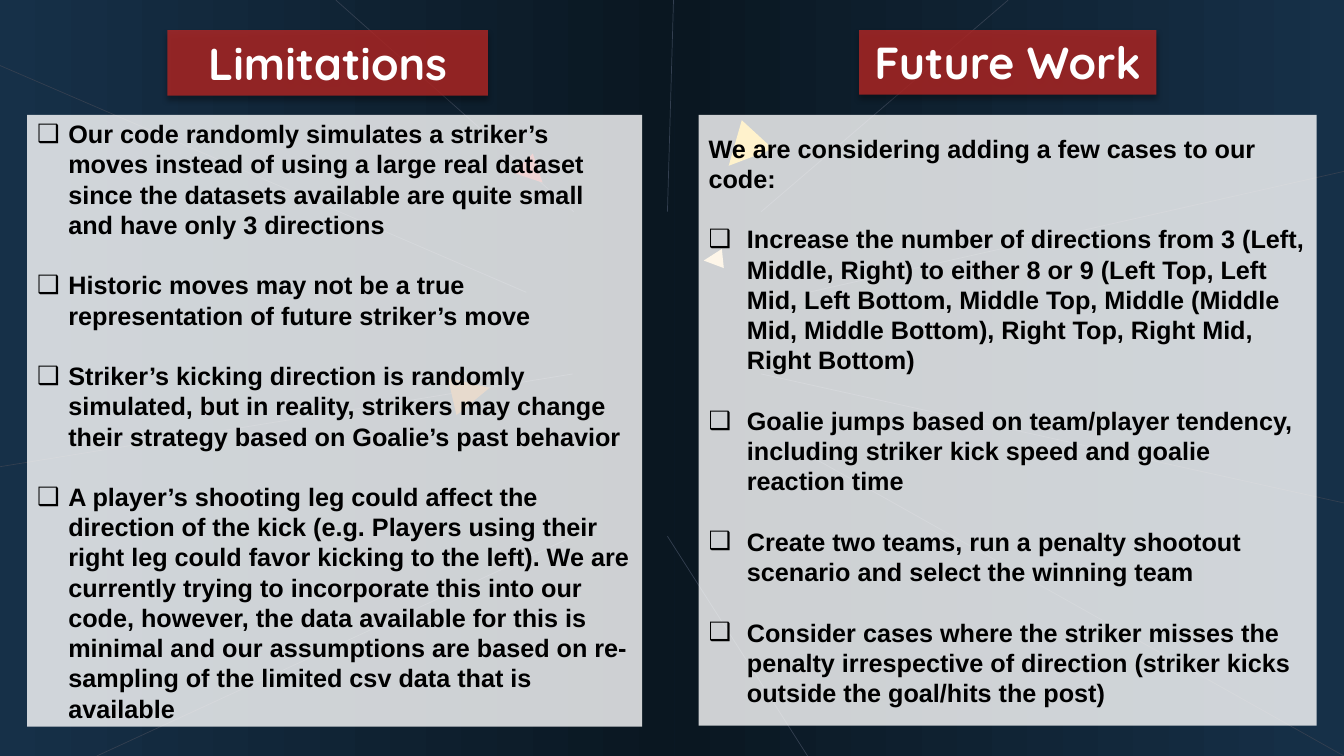
"""Build the Limitations and Future Work slide."""
from lxml import etree
from pptx import Presentation
from pptx import util as u
from pptx.dml.color import RGBColor
from pptx.enum import shapes, text
from pptx.oxml.ns import qn

RECT = shapes.MSO_SHAPE.RECTANGLE
TRIANGLE = shapes.MSO_SHAPE.ISOSCELES_TRIANGLE
TITLE_FONT = {"name": "Quicksand", "size": u.Pt(32), "bold": True}
BODY_FONT = {"name": "Arial", "size": u.Pt(18), "bold": True}
LINE_PITCH = u.Pt(21.6)

RAYS = [
    (6.68, 0, 6.62, 2.1), (0, 0.65, 5.22, 2.9), (0.96, 7.5, 5.69, 5.32),
    (7.55, 3.71, 13.33, 4.99), (8.01, 4.51, 13.33, 7.5),
    (8.02, 2.9, 13.33, 1.7), (3.33, 0, 5.69, 2.1), (7.55, 2.1, 10, 0),
    (0, 4.63, 5.68, 3.71), (6.62, 5.32, 8.01, 7.5),
]
TRIANGLES = [
    (4.48, 3.7, 0.38, 77, "8B4607"), (6.98, 2.48, 0.19, 264.1, "FED593"),
    (7.16, 1.28, 0.42, 222.6, "FFC000"), (5.15, 1.58, 0.27, 135, "B12725"),
]
LIMITATIONS = [
    "Our code randomly simulates a striker’s moves instead of using a large "
    "real dataset since the datasets available are quite small and have only "
    "3 directions",
    "Historic moves may not be a true representation of future striker’s move",
    "Striker’s kicking direction is randomly simulated, but in reality, "
    "strikers may change their strategy based on Goalie’s past behavior",
    "A player’s shooting leg could affect the direction of the kick (e.g. "
    "Players using their right leg could favor kicking to the left). We are "
    "currently trying to incorporate this into our code, however, the data "
    "available for this is minimal and our assumptions are based on "
    "re-sampling of the limited csv data that is available",
]
FUTURE_INTRO = "We are considering adding a few cases to our code:"
FUTURE_WORK = [
    "Increase the number of directions from 3 (Left, Middle, Right) to either "
    "8 or 9 (Left Top, Left Mid, Left Bottom, Middle Top, Middle (Middle Mid, "
    "Middle Bottom), Right Top, Right Mid, Right Bottom)",
    "Goalie jumps based on team/player tendency, including striker kick speed "
    "and goalie reaction time",
    "Create two teams, run a penalty shootout scenario and select the winning "
    "team",
    "Consider cases where the striker misses the penalty irrespective of "
    "direction (striker kicks outside the goal/hits the post)",
]


def rgb(value):
    """Return the colour for a hex string."""
    return RGBColor.from_string(value)


def set_attrs(target, values):
    """Set each named value on the target."""
    for name, value in values.items():
        setattr(target, name, value)


def add_child(parent, tag, **attrs):
    """Append an XML element with attributes."""
    child = etree.SubElement(parent, qn(tag))
    for name, value in attrs.items():
        child.set(name, str(value))
    return child


def add_shape(s, kind, box, color=None, opacity=100, rotation=0):
    """Add a flat shape without outline or shadow."""
    sp = s.shapes.add_shape(kind, *map(u.Inches, box))
    sp.shadow.inherit = False
    sp.line.fill.background()
    sp.rotation = rotation
    if color:
        sp.fill.solid()
        sp.fill.fore_color.rgb = rgb(color)
    if opacity < 100:
        clr = sp.fill._xPr.find(".//" + qn("a:srgbClr"))
        add_child(clr, "a:alpha", val=opacity * 1000)
    return sp


def add_backdrop(s, left, width, rotation):
    """Add one gradient half of the background."""
    sp = add_shape(s, RECT, (left, 0, width, 7.5), rotation=rotation)
    sp.fill.gradient()
    sp.fill.gradient_angle = 0
    for stop, color in zip(sp.fill.gradient_stops, ("163048", "0A1721")):
        stop.color.rgb = rgb(color)


def add_ray(s, ends):
    """Add a thin decorative line."""
    line = s.shapes.add_connector(shapes.MSO_CONNECTOR.STRAIGHT,
                                  *map(u.Inches, ends))
    line.line.color.rgb = rgb("333F50")
    line.line.width = u.Pt(0.5)
    add_child(line._element.spPr, "a:effectLst")


def add_run(p, words, font, color):
    """Add a formatted run to a paragraph."""
    r = p.add_run()
    r.text = words
    set_attrs(r.font, font)
    r.font.color.rgb = rgb(color)


def add_title(s, box, words):
    """Add a red heading with a soft shadow."""
    sp = add_shape(s, RECT, box, "B12725", 81)
    effects = sp._element.spPr.find(qn("a:effectLst"))
    shadow = add_child(effects, "a:outerShdw", blurRad=u.Pt(4), dist=u.Pt(3),
                       dir=90 * 60000, algn="t", rotWithShape=0)
    add_child(add_child(shadow, "a:srgbClr", val="000000"),
              "a:alpha", val=40000)
    tf = sp.text_frame
    set_attrs(tf, {"word_wrap": True, "vertical_anchor": text.MSO_ANCHOR.TOP,
                   "auto_size": text.MSO_AUTO_SIZE.SHAPE_TO_FIT_TEXT})
    p = tf.paragraphs[0]
    p.alignment = text.PP_ALIGN.CENTER
    add_run(p, words, TITLE_FONT, "FFFFFF")


def add_bullet(p, indent):
    """Give a paragraph a hanging box bullet."""
    pPr = p._p.get_or_add_pPr()
    pPr.set("marL", str(u.Inches(indent)))
    pPr.set("indent", str(-u.Inches(indent)))
    add_child(pPr, "a:buFont", typeface="Arial")
    add_child(pPr, "a:buChar", char="❑")


def add_panel(s, box, items, indent, intro=None):
    """Add a translucent panel with an optional intro and bullets."""
    tf = add_shape(s, RECT, box, "FFFFFF", 80).text_frame
    set_attrs(tf, {"word_wrap": True,
                   "vertical_anchor": text.MSO_ANCHOR.MIDDLE})
    lines = [intro] + items if intro else items
    for i, words in enumerate(lines):
        p = tf.add_paragraph() if i else tf.paragraphs[0]
        set_attrs(p, {"alignment": text.PP_ALIGN.LEFT,
                      "line_spacing": LINE_PITCH,
                      "space_before": LINE_PITCH if i else u.Pt(0)})
        if words != intro:
            add_bullet(p, indent)
        add_run(p, words, BODY_FONT, "000000")


def main():
    """Build and save the slide."""
    prs = Presentation()
    set_attrs(prs, {"slide_width": u.Inches(13.33),
                    "slide_height": u.Inches(7.5)})
    s = prs.slides.add_slide(prs.slide_layouts[6])
    add_backdrop(s, 6.69, 6.65, 180)
    add_backdrop(s, 0, 6.69, 0)
    for ends in RAYS:
        add_ray(s, ends)
    for left, top, size, rotation, color in TRIANGLES:
        add_shape(s, TRIANGLE, (left, top, size, size), color,
                  rotation=rotation)
    add_title(s, (1.66, 0.3, 3.18, 0.65), "Limitations")
    add_panel(s, (0.27, 1.14, 6.1, 6.07), LIMITATIONS, 0.31)
    add_title(s, (8.52, 0.3, 2.95, 0.64), "Future Work")
    add_panel(s, (6.93, 1.14, 6.13, 6.06), FUTURE_WORK, 0.38, FUTURE_INTRO)
    prs.save("out.pptx")


if __name__ == "__main__":
    main()
